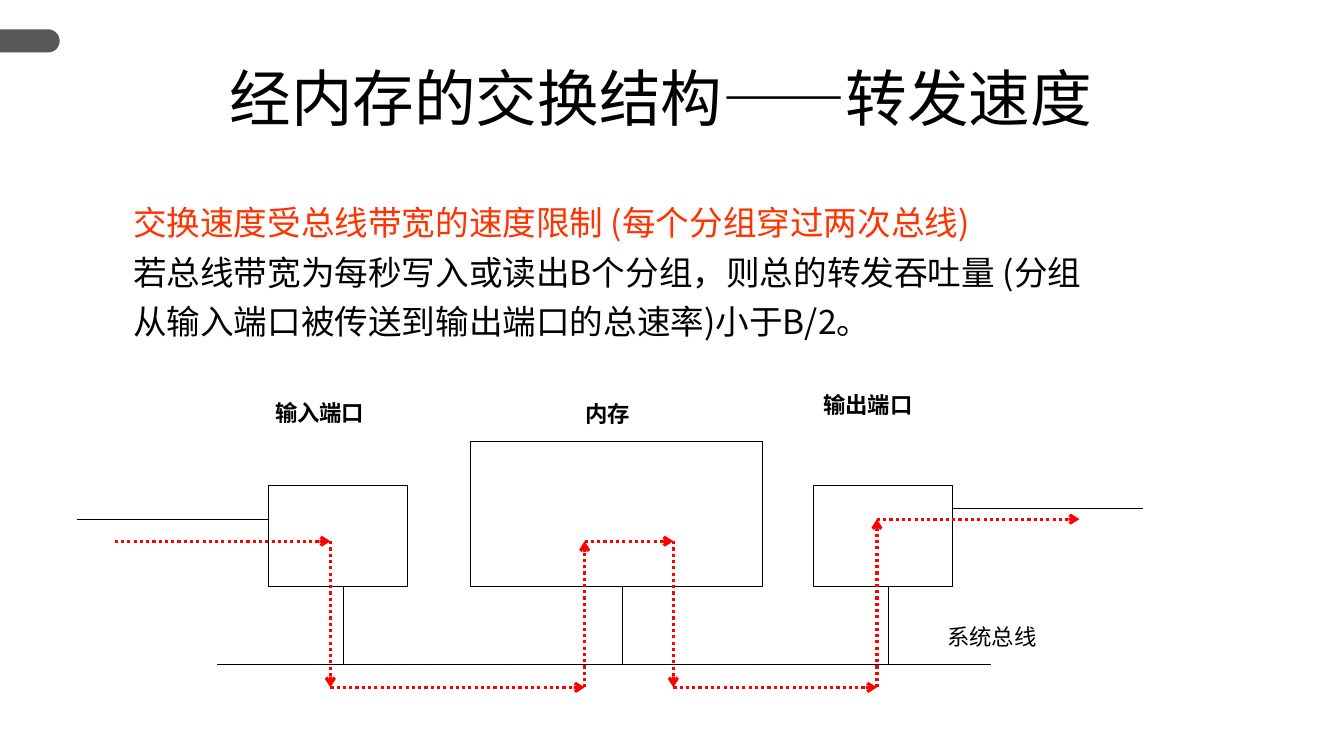
import math
from itertools import pairwise

from lxml import etree
from pptx import Presentation
from pptx.dml.color import RGBColor
from pptx.enum import dml, shapes, text
from pptx.oxml import ns
from pptx.util import Pt

COLORS = {"black": "000000", "tab": "575757", "accent": "FF3300", "packet": "FF0000"}
CJK_FONT = "Noto Sans CJK SC"


def color(name):
    return RGBColor.from_string(COLORS[name])


def add_text(slide, box, lines, size, font, spacing, bold=False, wrap=True, align=None):
    """Add a text box; lines holds (wording, color name) pairs."""
    shape = slide.shapes.add_textbox(*(Pt(value) for value in box))
    frame = shape.text_frame
    frame.word_wrap = wrap
    frame.vertical_anchor = text.MSO_ANCHOR.TOP
    for index, (wording, color_name) in enumerate(lines):
        paragraph = frame.add_paragraph() if index else frame.paragraphs[0]
        paragraph.text = wording
        paragraph.alignment = align
        paragraph.line_spacing = Pt(spacing)
        for run in paragraph.runs:
            run.font.name = font
            run.font.size = Pt(size)
            run.font.bold = bold
            run.font.color.rgb = color(color_name)
            east_asian = etree.SubElement(run.font._element, ns.qn("a:ea"))
            east_asian.set("typeface", CJK_FONT)


def add_line(slide, start, end, color_name="black", width=0.75, arrow=False):
    connector = slide.shapes.add_connector(
        shapes.MSO_CONNECTOR.STRAIGHT, *(Pt(value) for value in (*start, *end)))
    connector.line.color.rgb = color(color_name)
    connector.line.width = Pt(width)
    if arrow:
        connector.line.dash_style = dml.MSO_LINE.ROUND_DOT
        tail = etree.SubElement(connector.line._get_or_add_ln(), ns.qn("a:tailEnd"))
        tail.set("type", "arrow")
    etree.SubElement(connector._element.spPr, ns.qn("a:effectLst"))


def add_tab(slide, left, top, width, height):
    """Bar at the slide edge with a round right end."""
    radius = height / 2
    center_x, center_y = left + width - radius, top + radius
    angles = [math.radians(degrees) for degrees in range(-90, 91, 6)]
    arc = [(Pt(center_x + radius * math.cos(angle)), Pt(center_y + radius * math.sin(angle)))
           for angle in angles]
    builder = slide.shapes.build_freeform(Pt(left), Pt(top))
    builder.add_line_segments([*arc, (Pt(left), Pt(top + height))], close=True)
    shape = builder.convert_to_shape()
    shape.shadow.inherit = False
    shape.fill.solid()
    shape.fill.fore_color.rgb = color("tab")
    shape.line.fill.background()


def add_title(slide, left, top, width, height):
    add_text(slide, (left, top, width, height), [("经内存的交换结构——转发速度", "black")],
             44, "Arial", 50, align=text.PP_ALIGN.CENTER)


def add_body(slide, left, top, width, height):
    lines = [
        ("交换速度受总线带宽的速度限制 (每个分组穿过两次总线)", "accent"),
        ("若总线带宽为每秒写入或读出B个分组，则总的转发吞吐量 "
         "(分组从输入端口被传送到输出端口的总速率)小于B/2。", "black"),
    ]
    add_text(slide, (left, top, width, height), lines, 24, CJK_FONT, 35.5)


def add_diagram(slide, left, top, width):
    """Ports and memory on the system bus, with the path of a packet."""
    def at(x, y):
        return left + x, top + y

    port_width, port_height, base = 99.4, 72, 144
    input_x, memory_x, output_x = 136.5, 281, 526
    bus_y, low_y, high_y, input_y, output_y = 200, 216, 111.6, 95.8, 88

    # Ports and memory stand on one base line
    for x, block_width, block_height in (
            (input_x, port_width, port_height),
            (output_x, port_width, port_height),
            (memory_x, 209, 103.7)):
        shape = slide.shapes.add_shape(
            shapes.MSO_SHAPE.RECTANGLE,
            *(Pt(value) for value in (*at(x, base - block_height), block_width, block_height)))
        shape.shadow.inherit = False
        shape.fill.background()
        shape.line.color.rgb = color("black")
        shape.line.width = Pt(0.75)

    # Bus, taps and outer links
    add_line(slide, at(100, bus_y), at(653, bus_y))
    for x in (190.5, 390, 580):
        add_line(slide, at(x, base), at(x, bus_y))
    add_line(slide, at(input_x, input_y), at(0, input_y))
    add_line(slide, at(width, output_y), at(output_x + port_width, output_y))

    # Packet path crosses the bus twice
    packet_path = [(27, high_y), (181, high_y), (181, low_y), (362.6, low_y),
                   (362.6, high_y), (426, high_y), (426, low_y), (571.4, low_y),
                   (571.4, input_y), (716, input_y)]
    for start, end in pairwise(packet_path):
        add_line(slide, at(*start), at(*end), "packet", 2.25, arrow=True)

    # Labels
    for wording, x, y, label_width, bold, wrap in (
            ("输入端口", 134.4, 5.8, 80, True, False),
            ("输出端口", output_x, 0, 133, True, True),
            ("内存", 356, 6.5, 47, True, False),
            ("系统总线", 614.6, 165.6, 79, False, False)):
        add_text(slide, (*at(x, y), label_width, 26.6), [(wording, "black")],
                 16, "Times New Roman", 20, bold, wrap)


def main():
    presentation = Presentation()
    presentation.slide_width, presentation.slide_height = Pt(960), Pt(540)
    slide = presentation.slides.add_slide(presentation.slide_layouts[6])
    add_tab(slide, 0, 21, 42.6, 16.5)
    add_title(slide, 0, 41.8, 944.6, 90)
    add_diagram(slide, 55, 275, 761.5)
    add_body(slide, 88, 134, 706, 113.8)
    presentation.save("out.pptx")


if __name__ == "__main__":
    main()
